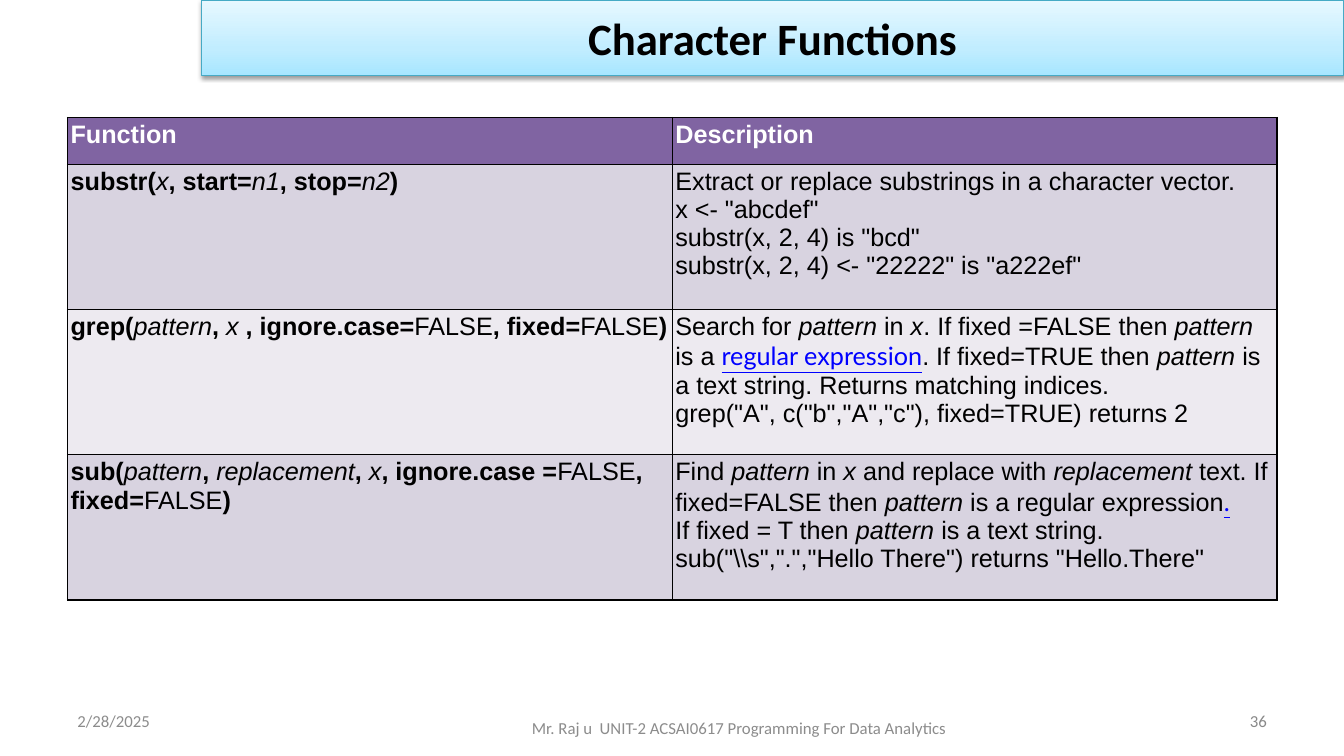
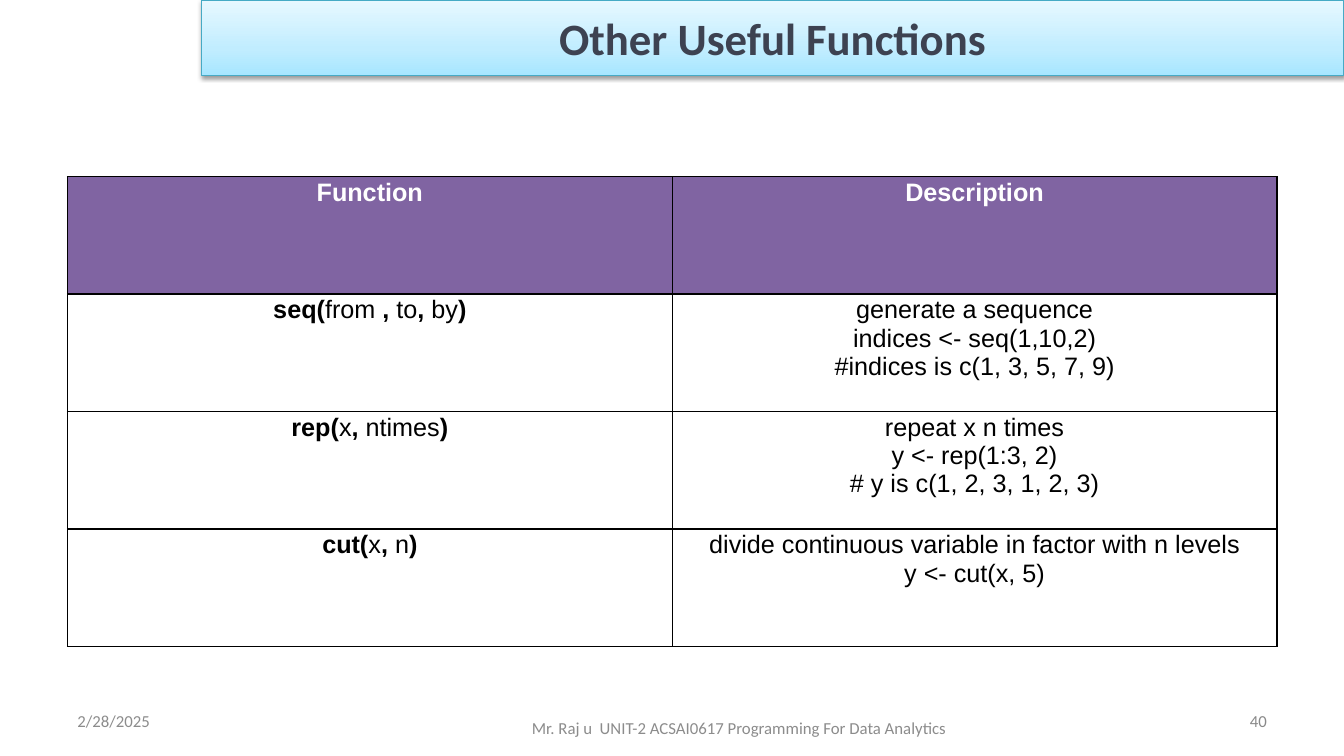
from dataclasses import dataclass
from typing import NamedTuple

from lxml import etree
from pptx import Presentation
from pptx.dml.color import RGBColor
from pptx.enum.text import MSO_ANCHOR, PP_ALIGN
from pptx.oxml.ns import qn
from pptx.slide import Slide
from pptx.table import _Cell
from pptx.text.text import Font, _Paragraph
from pptx.util import Cm, Length, Pt

LEFT, CENTER, RIGHT = PP_ALIGN.LEFT, PP_ALIGN.CENTER, PP_ALIGN.RIGHT
MIDDLE = MSO_ANCHOR.MIDDLE
TITLE_ONLY = 5


@dataclass(frozen=True)
class Theme:
    heading_font: str = "Calibri"
    table_font: str = "Arial"
    link_font: str = "Lato"
    title_size: Length = Pt(32)
    table_size: Length = Pt(18)
    footer_size: Length = Pt(12)
    black: str = "000000"
    white: str = "FFFFFF"
    slate: str = "3D4251"
    link: str = "0000FF"
    footer: str = "8C8C8C"
    page_number: str = "898989"
    header: str = "8064A2"
    lilac: str = "D8D3E0"
    pale_lilac: str = "EDEAF0"
    band_line: str = "46AAC5"
    band_stops: tuple[tuple[int, str], ...] = ((0, "A7E6FF"), (35, "C1EDFF"), (100, "E7F8FF"))


THEME = Theme()


class Run(NamedTuple):
    text: str
    bold: bool = False
    italic: bool = False
    link: bool = False


class FooterItem(NamedTuple):
    text: str
    left: float
    width: float
    height: float
    align: PP_ALIGN
    color: str


class FunctionRow(NamedTuple):
    signature: list[Run]
    description: list[Run]


@dataclass(frozen=True)
class FunctionSlide:
    title: str
    title_color: str
    page: str
    table_top: float
    header_height: float
    row_height: float
    inset: float
    align: PP_ALIGN
    row_fills: tuple[str, ...]
    rows: list[FunctionRow]


def plain(text: str) -> Run:
    return Run(text)


def bold(text: str) -> Run:
    return Run(text, bold=True)


def italic(text: str) -> Run:
    return Run(text, italic=True)


def link(text: str) -> Run:
    return Run(text, link=True)


def rgb(color: str) -> RGBColor:
    return RGBColor.from_string(color)


def set_font(font: Font, color: str, **formats: object) -> None:
    for attribute, value in formats.items():
        setattr(font, attribute, value)
    font.color.rgb = rgb(color)


def child(parent: etree._Element, tag: str, **attributes: object) -> etree._Element:
    return etree.SubElement(parent, qn(tag), {key: str(value) for key, value in attributes.items()})


def add_title_band(slide: Slide, text: str, color: str) -> None:
    band = slide.shapes.title
    box = {"left": Cm(5.08), "top": Cm(0), "width": Cm(28.79), "height": Cm(1.9)}
    for attribute, value in box.items():
        setattr(band, attribute, value)

    properties = band.element.spPr
    gradient = child(properties, "a:gradFill", rotWithShape=1)
    stops = child(gradient, "a:gsLst")
    for position, stop_color in THEME.band_stops:
        stop = child(stops, "a:gs", pos=position * 1000)
        child(stop, "a:srgbClr", val=stop_color)
    child(gradient, "a:lin", ang=270 * 60000, scaled=1)
    band.line.color.rgb = rgb(THEME.band_line)
    band.line.width = Pt(0.75)
    shadow = child(child(properties, "a:effectLst"), "a:outerShdw", blurRad=Pt(3.1),
                   dist=Pt(1.6), dir=90 * 60000, rotWithShape=0)
    child(child(shadow, "a:srgbClr", val=THEME.black), "a:alpha", val=38000)

    frame = band.text_frame
    frame.text = text
    frame.vertical_anchor = MIDDLE
    frame.paragraphs[0].alignment = CENTER
    set_font(frame.paragraphs[0].runs[0].font, color,
             name=THEME.heading_font, size=THEME.title_size, bold=True)


def add_footer(slide: Slide, page: str) -> None:
    items = (
        FooterItem("2/28/2025", 1.7, 7.9, 1.02, LEFT, THEME.footer),
        FooterItem(page, 24.28, 7.9, 1.02, RIGHT, THEME.page_number),
        FooterItem("Mr. Raj u  UNIT-2 ACSAI0617 Programming For Data Analytics",
                   9.32, 18.62, 1.4, CENTER, THEME.footer),
    )
    for item in items:
        frame = slide.shapes.add_textbox(
            Cm(item.left), Cm(17.65), Cm(item.width), Cm(item.height)).text_frame
        frame.word_wrap = True
        frame.vertical_anchor = MIDDLE
        paragraph = frame.paragraphs[0]
        paragraph.alignment = item.align
        paragraph.text = item.text
        set_font(paragraph.runs[0].font, item.color,
                 name=THEME.heading_font, size=THEME.footer_size)


def write_runs(paragraph: _Paragraph, runs: list[Run], color: str) -> None:
    for run in runs:
        for index, line in enumerate(run.text.split("\n")):
            if index:
                paragraph.add_line_break()
            if not line:
                continue
            piece = paragraph.add_run()
            piece.text = line
            set_font(piece.font, THEME.link if run.link else color,
                     name=THEME.link_font if run.link else THEME.table_font,
                     size=THEME.table_size, bold=run.bold, italic=run.italic,
                     underline=run.link)


def format_cell(cell: _Cell, fill: str, inset: float) -> None:
    properties = cell._tc.get_or_add_tcPr()
    for side in ("a:lnL", "a:lnR", "a:lnT", "a:lnB"):
        border = child(properties, side, w=Pt(1))
        child(child(border, "a:solidFill"), "a:srgbClr", val=THEME.black)
    cell.fill.solid()
    cell.fill.fore_color.rgb = rgb(fill)
    for margin in ("margin_left", "margin_right", "margin_top", "margin_bottom"):
        setattr(cell, margin, Cm(inset))


def add_function_table(slide: Slide, content: FunctionSlide) -> None:
    rows = [FunctionRow([bold("Function")], [bold("Description")]), *content.rows]
    heights = [content.header_height] + [content.row_height] * len(content.rows)
    fills = (THEME.header, *content.row_fills)
    table = slide.shapes.add_table(len(rows), 2, Cm(1.7), Cm(content.table_top),
                                   Cm(30.48), Cm(sum(heights))).table
    table.horz_banding = False
    for row_index, (row, height, fill) in enumerate(zip(rows, heights, fills)):
        table.rows[row_index].height = Cm(height)
        color = THEME.black if row_index else THEME.white
        for column, runs in enumerate(row):
            cell = table.cell(row_index, column)
            format_cell(cell, fill, content.inset)
            paragraph = cell.text_frame.paragraphs[0]
            paragraph.alignment = content.align
            write_runs(paragraph, runs, color)


CHARACTER_FUNCTIONS = [
    FunctionRow(
        [bold("substr("), italic("x"), bold(", start="), italic("n1"), bold(", stop="),
         italic("n2"), bold(")")],
        [plain('Extract or replace substrings in a character vector.\nx <- "abcdef"\n'
               'substr(x, 2, 4) is "bcd"\nsubstr(x, 2, 4) <- "22222" is "a222ef"')],
    ),
    FunctionRow(
        [bold("grep("), italic("pattern"), bold(","), italic(" x "), bold(", ignore.case="),
         plain("FALSE"), bold(", fixed="), plain("FALSE"), bold(")")],
        [plain("Search for "), italic("pattern"), plain(" in "), italic("x"),
         plain(". If fixed =FALSE then "), italic("pattern"), plain(" is a "),
         link("regular expression"), plain(". If fixed=TRUE then "), italic("pattern"),
         plain(" is a text string. Returns matching indices.\n"
               'grep("A", c("b","A","c"), fixed=TRUE) returns 2')],
    ),
    FunctionRow(
        [bold("sub("), italic("pattern"), bold(", "), italic("replacement"), bold(", "),
         italic("x"), bold(", ignore.case ="), plain("FALSE"), bold(", fixed="),
         plain("FALSE"), bold(")")],
        [plain("Find "), italic("pattern"), plain(" in "), italic("x"),
         plain(" and replace with "), italic("replacement"),
         plain(" text. If fixed=FALSE then "), italic("pattern"),
         plain(" is a regular expression"), link(".\n"), plain("If fixed = T then "),
         italic("pattern"),
         plain(' is a text string.\nsub("\\\\s",".","Hello There") returns "Hello.There"')],
    ),
]

OTHER_FUNCTIONS = [
    FunctionRow(
        [bold("seq("), plain("from"), bold(" ,"), plain(" to"), bold(","), plain(" by"),
         bold(")")],
        [plain("generate a sequence\nindices <- seq(1,10,2)\n#indices is c(1, 3, 5, 7, 9)")],
    ),
    FunctionRow(
        [bold("rep("), plain("x"), bold(", "), plain("ntimes"), bold(")")],
        [plain("repeat x n times\ny <- rep(1:3, 2)\n# y is c(1, 2, 3, 1, 2, 3)")],
    ),
    FunctionRow(
        [bold("cut("), plain("x"), bold(","), plain(" n"), bold(")")],
        [plain("divide continuous variable in factor with n levels\ny <- cut(x, 5)")],
    ),
]

SLIDES = (
    FunctionSlide("Character Functions", THEME.black, "36", 2.96, 1.18, 3.66, 0.08, LEFT,
                  (THEME.lilac, THEME.pale_lilac, THEME.lilac), CHARACTER_FUNCTIONS),
    FunctionSlide("Other Useful Functions", THEME.slate, "40", 4.45, 2.96, 2.96, 0.05, CENTER,
                  (THEME.white,) * 3, OTHER_FUNCTIONS),
)


def main() -> None:
    deck = Presentation()
    deck.slide_width, deck.slide_height = Cm(33.87), Cm(19.05)
    for content in SLIDES:
        slide = deck.slides.add_slide(deck.slide_layouts[TITLE_ONLY])
        add_title_band(slide, content.title, content.title_color)
        add_footer(slide, content.page)
        add_function_table(slide, content)
    deck.save("out.pptx")


if __name__ == "__main__":
    main()
